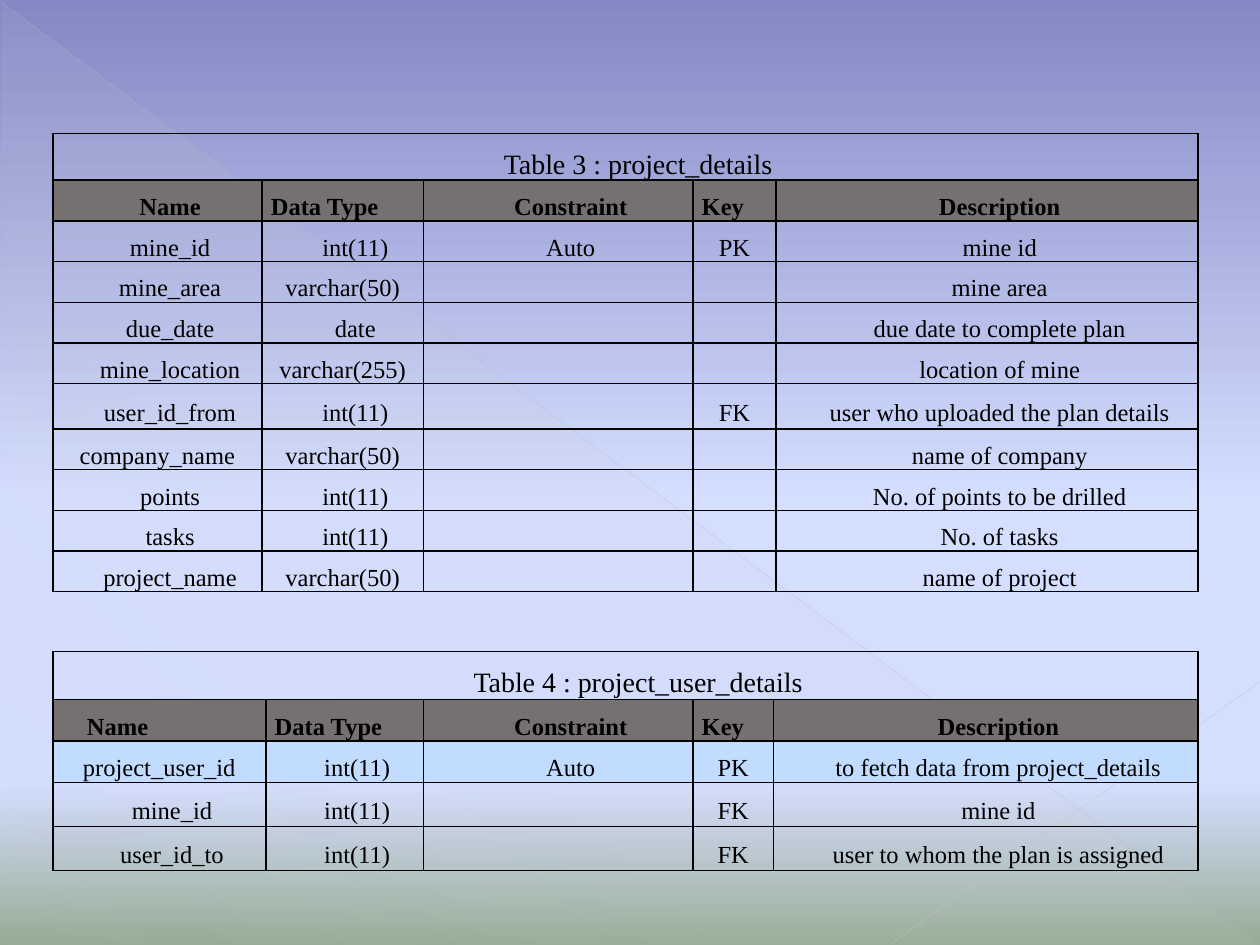
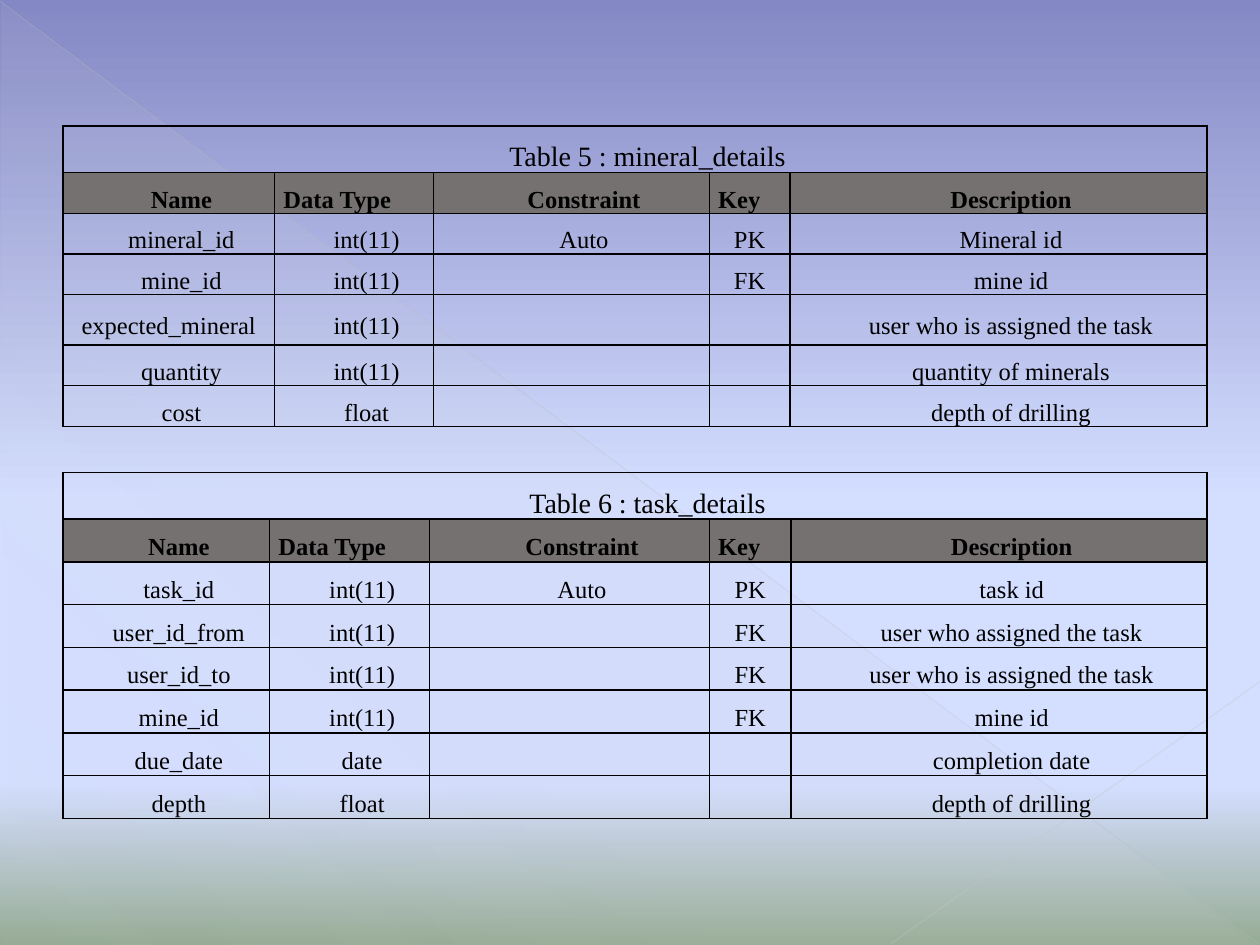
from lxml.etree import SubElement
from pptx import Presentation
from pptx.dml.color import RGBColor
from pptx.enum.shapes import MSO_CONNECTOR, MSO_SHAPE
from pptx.enum.text import MSO_ANCHOR, PP_ALIGN
from pptx.oxml import parse_xml
from pptx.oxml.ns import nsdecls, qn
from pptx.util import Inches, Pt

COLORS = {
    "ink": "000000", "header": "757171", "highlight": "C1DCFF",
    "sky": "8488C4", "haze": "D4DEFF", "moss": "96AB94",
    "veil": "D2D2D2", "diagonal": "BFBFBF", "corner": "C6C6C6",
}
FONT = "Times New Roman"
HEADERS = ["Name", "Data Type", "Constraint", "Key", "Description"]
FLUSH_NAMES = {"company_name", "project_user_id", "expected_mineral"}

PROJECT = """mine_id|int(11)|Auto|PK|mine id
mine_area|varchar(50)|||mine area
due_date|date|||due date to complete plan
mine_location|varchar(255)|||location of mine
user_id_from|int(11)||FK|user who uploaded the plan details
company_name|varchar(50)|||name of company
points|int(11)|||No. of points to be drilled
tasks|int(11)|||No. of tasks
project_name|varchar(50)|||name of project"""

PROJECT_USER = """project_user_id|int(11)|Auto|PK|to fetch data from project_details
mine_id|int(11)||FK|mine id
user_id_to|int(11)||FK|user to whom the plan is assigned"""

MINERAL = """mineral_id|int(11)|Auto|PK|Mineral id
mine_id|int(11)||FK|mine id
expected_mineral|int(11)|||user who is assigned the task
quantity|int(11)|||quantity of minerals
cost|float|||depth of drilling"""

TASK = """task_id|int(11)|Auto|PK|task id
user_id_from|int(11)||FK|user who assigned the task
user_id_to|int(11)||FK|user who is assigned the task
mine_id|int(11)||FK|mine id
due_date|date|||completion date
depth|float|||depth of drilling"""


class Deck:
    """Holds the style and the current slide; lengths are percent of the slide."""

    def __init__(self):
        """Set the slide size and the shared background."""
        self.prs = Presentation()
        self.prs.slide_width, self.prs.slide_height = Inches(10), Inches(7.5)
        self.s = None
        self.background()

    def x(self, share):
        """Turn a percent of the slide's width into a length."""
        return round(self.prs.slide_width * share / 100)

    def y(self, share):
        """Turn a percent of the slide's height into a length."""
        return round(self.prs.slide_height * share / 100)

    def gradient(self, stops, angle):
        """Make a linear gradient from (position, colour, opacity) stops."""
        gs = "".join(
            f'<a:gs pos="{pos * 1000}"><a:srgbClr val="{COLORS[name]}">'
            f'<a:alpha val="{alpha * 1000}"/></a:srgbClr></a:gs>'
            for pos, name, alpha in stops)
        return parse_xml(
            f'<a:gradFill {nsdecls("a")} rotWithShape="1"><a:gsLst>{gs}</a:gsLst>'
            f'<a:lin ang="{angle * 60000}" scaled="0"/></a:gradFill>')

    def replace_fill(self, parent, fill):
        """Swap the solid fill of an element for another fill."""
        solid = parent.find(qn("a:solidFill"))
        parent.replace(solid, fill)

    def background(self):
        """Fill the master's background."""
        fill = self.prs.slide_master.background.fill
        fill.solid()
        fill.fore_color.rgb = RGBColor.from_string(COLORS["haze"])
        bg_pr = self.prs.slide_master._element.cSld.bg.bgPr
        self.replace_fill(bg_pr, self.gradient(
            [(0, "sky", 100), (53, "haze", 100), (83, "haze", 100), (100, "moss", 100)], 90))

    def slide(self):
        """Start a new blank slide."""
        self.s = self.prs.slides.add_slide(self.prs.slide_layouts[6])

    def to_master(self, shapes):
        """Move shapes from the slide to the back of the master."""
        tree = self.prs.slide_master.shapes._spTree
        for i, sp in enumerate(shapes):
            sp._element._nvXxPr.cNvPr.set("id", str(20 + i))
            tree.insert(2 + i, sp._element)

    def veil(self):
        """Add the pale triangle across the slide."""
        sp = self.s.shapes.add_shape(
            MSO_SHAPE.RIGHT_TRIANGLE, self.x(0.1), self.y(0.2), self.x(99.8), self.y(99.8))
        sp.shadow.inherit = False
        sp.line.fill.background()
        sp.fill.solid()
        sp.fill.fore_color.rgb = RGBColor.from_string(COLORS["veil"])
        self.replace_fill(sp._element.spPr, self.gradient(
            [(0, "veil", 10), (70, "veil", 8), (100, "veil", 1)], 133))
        return sp

    def line(self, x1, y1, x2, y2, color, width, opacity):
        """Add a thin translucent line."""
        cn = self.s.shapes.add_connector(
            MSO_CONNECTOR.STRAIGHT, self.x(x1), self.y(y1), self.x(x2), self.y(y2))
        cn.line.color.rgb = RGBColor.from_string(COLORS[color])
        cn.line.width = Pt(width)
        clr = cn._element.spPr.find(".//" + qn("a:srgbClr"))
        SubElement(clr, qn("a:alpha")).set("val", str(opacity * 1000))
        SubElement(cn._element.spPr, qn("a:effectLst"))
        return cn

    def cell(self, cell, text, size=14, bold=False, fill=None,
             align=PP_ALIGN.CENTER, indent=True):
        """Write and format one table cell."""
        cell.vertical_anchor = MSO_ANCHOR.MIDDLE
        cell.margin_left = cell.margin_right = self.x(0.7)
        cell.margin_top = cell.margin_bottom = 0
        tc_pr = cell._tc.get_or_add_tcPr()
        for side in ("lnL", "lnR", "lnT", "lnB"):
            tc_pr.append(parse_xml(
                f'<a:{side} {nsdecls("a")} w="{Pt(1)}"><a:solidFill>'
                f'<a:srgbClr val="{COLORS["ink"]}"/></a:solidFill></a:{side}>'))
        if fill:
            cell.fill.solid()
            cell.fill.fore_color.rgb = RGBColor.from_string(COLORS[fill])
        else:
            cell.fill.background()
        p = cell.text_frame.paragraphs[0]
        p.alignment = align
        if text:
            p.add_run().text = text
            p.line_spacing = 1.5
        if indent:
            p._p.get_or_add_pPr().set("indent", str(self.x(2)))
        p.font.name, p.font.size, p.font.bold = FONT, Pt(size), bold
        p.font.color.rgb = RGBColor.from_string(COLORS["ink"])

    def table(self, title, data, left, top, widths, heights,
              name_align=PP_ALIGN.CENTER, first_fill=None):
        """Add a titled table of database fields."""
        rows = [line.split("|") for line in data.splitlines()]
        t = self.s.shapes.add_table(
            len(heights), len(widths), self.x(left), self.y(top),
            self.x(sum(widths)), self.y(sum(heights))).table
        t.first_row = t.horz_banding = False
        for col, width in zip(t.columns, widths):
            col.width = self.x(width)
        for row, height in zip(t.rows, heights):
            row.height = self.y(height)
        t.cell(0, 0).merge(t.cell(0, len(widths) - 1))
        for c, header in enumerate(HEADERS):
            self.cell(t.cell(0, c), "" if c else title, size=16)
            tight = header in ("Data Type", "Key")
            align = PP_ALIGN.JUSTIFY if tight else PP_ALIGN.CENTER
            self.cell(t.cell(1, c), header, bold=True, fill="header",
                      align=align if c else name_align, indent=not tight)
        for r, row in enumerate(rows):
            for c, text in enumerate(row):
                flush = (HEADERS[c] == "Key" or text in FLUSH_NAMES
                         or text.startswith("varchar"))
                self.cell(t.cell(r + 2, c), text, indent=not flush,
                          fill=None if r else first_fill)


def main():
    """Build the two slides of table definitions."""
    d = Deck()
    d.slide()
    d.to_master([
        d.veil(),
        d.line(0, 0.13, 99.9, 99.87, "diagonal", 0.39, 35),
        d.line(100, 72.13, 70.7, 99.87, "corner", 0.47, 45),
    ])
    d.table("Table 3 : project_details", PROJECT, 4.2, 14.13,
            [16.6, 12.8, 21.4, 6.6, 33.5], [3.6] * 6 + [4.8] + [3.6] * 4)
    d.table("Table 4 : project_user_details", PROJECT_USER, 4.2, 68.93,
            [16.9, 12.5, 21.4, 6.4, 33.7], [5.07, 4.4, 4.4, 4.67, 4.67],
            name_align=PP_ALIGN.JUSTIFY, first_fill="highlight")
    d.slide()
    d.table("Table 5 : mineral_details", MINERAL, 5, 13.33,
            [16.8, 12.6, 21.9, 6.4, 33.1], [4] * 4 + [5.33] + [4] * 2)
    d.table("Table 6 : task_details", TASK, 5, 50,
            [16.4, 12.7, 22.2, 6.5, 33], [4.53] * 8)
    d.prs.save("out.pptx")


if __name__ == "__main__":
    main()
